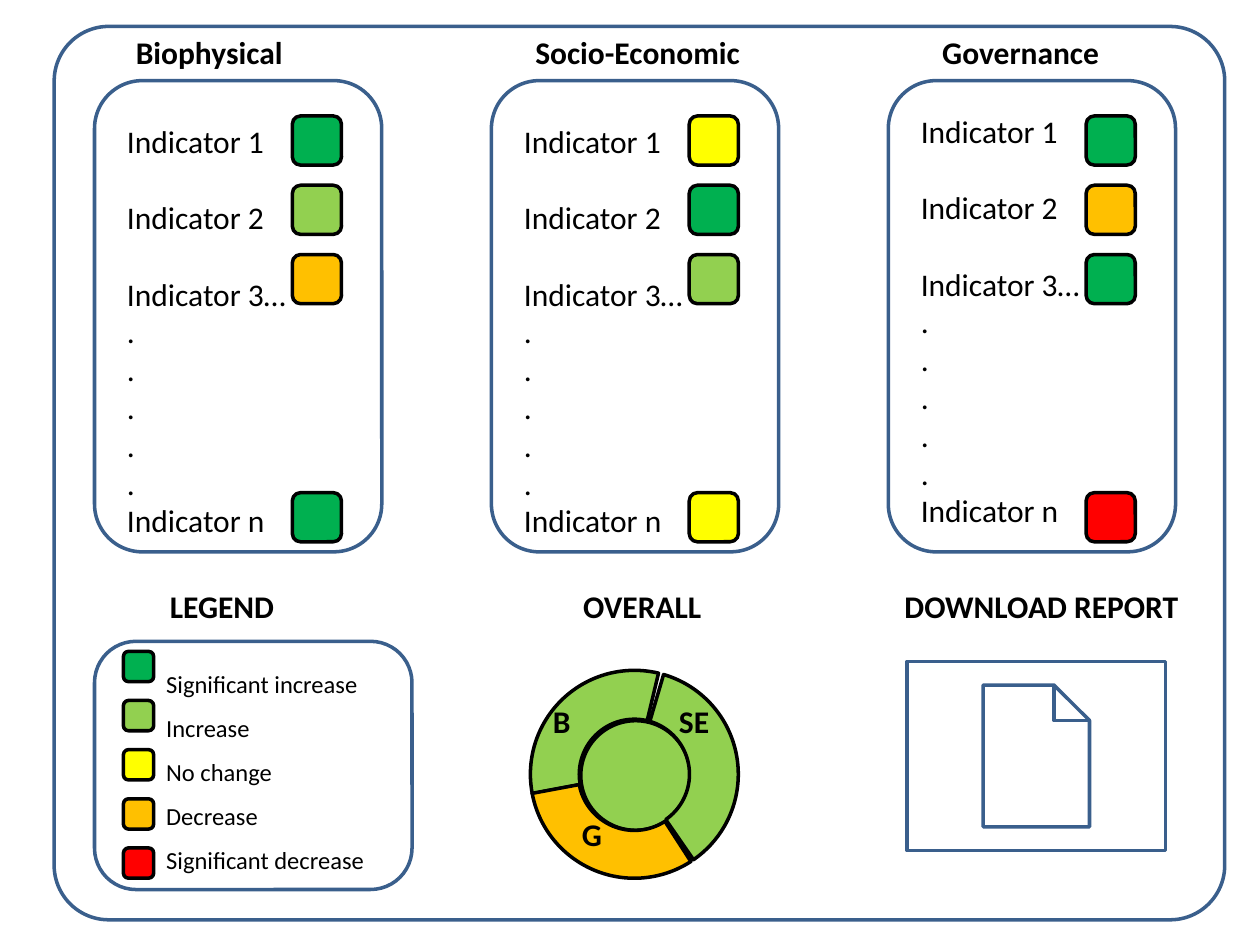
"""Build a dashboard slide of indicator panels, a legend and an overall ring."""
from pptx import Presentation
from pptx.dml.color import RGBColor
from pptx.enum.shapes import MSO_SHAPE
from pptx.util import Inches, Pt

ROUNDED = MSO_SHAPE.ROUNDED_RECTANGLE
COLOURS = {
    "outline": "3A5F8C", "black": "000000",
    "strong": "00B050", "up": "92D050", "same": "FFFF00",
    "down": "FFC000", "worst": "FF0000",
}
FONT = "Calibri"

PANELS = [
    ("Biophysical", 0.98, 0.92, ["strong", "up", "down", "strong"]),
    ("Socio-Economic", 4.15, 0.92, ["same", "strong", "up", "same"]),
    ("Governance", 7.38, 0.84, ["strong", "down", "strong", "worst"]),
]
INDICATORS = ["Indicator 1", "Indicator 2", "Indicator 3…"] + ["."] * 5 + ["Indicator n"]
SPACED_INDICATORS = 2
PANEL_LEFT, PANEL_STEP = 0.75, 3.15
STATUS_TOPS = [0.92, 1.47, 2.02, 3.91]

LOWER_HEADINGS = [("LEGEND", 1.25), ("OVERALL", 4.53), ("DOWNLOAD REPORT", 7.08)]
LEGEND = [
    ("Significant increase", "strong"), ("Increase", "up"), ("No change", "same"),
    ("Decrease", "down"), ("Significant decrease", "worst"),
]
LEGEND_TOP, LEGEND_STEP = 5.17, 0.39

RING = [
    ("B", 4.29, 5.52, "up", 169.26, 283.45, 0.235),
    ("SE", 5.29, 5.52, "up", 286.33, 55.33, 0.235),
    ("G", 4.52, 6.42, "down", 57.06, 169.43, 0.23),
]
ADJUSTMENT_PER_DEGREE = 0.6

presentation = Presentation()
presentation.slide_width = Inches(10)
presentation.slide_height = Inches(7.5)
slide = presentation.slides.add_slide(presentation.slide_layouts[6])


def colour(name):
    return RGBColor.from_string(COLOURS[name])


def add_figure(kind, left, top, width, height, fill=None, line="black"):
    shape = slide.shapes.add_shape(
        kind, Inches(left), Inches(top), Inches(width), Inches(height))
    shape.shadow.inherit = False
    if fill:
        shape.fill.solid()
        shape.fill.fore_color.rgb = colour(fill)
    else:
        shape.fill.background()
    shape.line.color.rgb = colour(line)
    shape.line.width = Pt(2)
    return shape


def add_text(lines, left, top, width, height, size=18, bold=False, wrap=True):
    box = slide.shapes.add_textbox(
        Inches(left), Inches(top), Inches(width), Inches(height))
    frame = box.text_frame
    frame.word_wrap = wrap
    frame.text = "\n".join(lines)
    for paragraph in frame.paragraphs:
        paragraph.font.name = FONT
        paragraph.font.size = Pt(size)
        paragraph.font.bold = bold
        paragraph.font.color.rgb = colour("black")
    return frame.paragraphs


frame_shape = add_figure(ROUNDED, 0.43, 0.21, 9.29, 7.09, line="outline")
frame_shape.adjustments[0] = 0.061

for index, (heading, heading_left, text_top, statuses) in enumerate(PANELS):
    left = PANEL_LEFT + index * PANEL_STEP
    add_figure(ROUNDED, left, 0.64, 2.28, 3.74, line="outline")
    add_text([heading], heading_left, 0.21, 2.2, 0.4, bold=True)
    paragraphs = add_text(INDICATORS, left + 0.16, text_top, 1.97, 3.43)
    for paragraph in paragraphs[:SPACED_INDICATORS]:
        paragraph.space_after = Pt(22)
    for top, status in zip(STATUS_TOPS, statuses):
        add_figure(ROUNDED, left + 1.57, top, 0.39, 0.39, status)

for heading, left in LOWER_HEADINGS:
    add_text([heading], left, 4.61, 2.5, 0.4, bold=True)

add_figure(ROUNDED, 0.75, 5.09, 2.52, 1.97, line="outline")
for index, (label, status) in enumerate(LEGEND):
    add_figure(ROUNDED, 0.98, LEGEND_TOP + index * LEGEND_STEP, 0.24, 0.24, status)
labels = [label for label, status in LEGEND]
for paragraph in add_text(labels, 1.22, 5.14, 1.79, 1.83, size=14, wrap=False):
    paragraph.line_spacing = 1.5

add_figure(MSO_SHAPE.ACTION_BUTTON_DOCUMENT, 7.2, 5.25, 2.05, 1.5, line="outline")

add_figure(MSO_SHAPE.OVAL, 4.61, 5.72, 0.87, 0.87, "up")
for label, left, top, status, start, end, thickness in RING:
    arc = add_figure(MSO_SHAPE.BLOCK_ARC, 4.21, 5.32, 1.65, 1.65, status)
    arc.adjustments[0] = start * ADJUSTMENT_PER_DEGREE
    arc.adjustments[1] = end * ADJUSTMENT_PER_DEGREE
    arc.adjustments[2] = thickness
for label, left, top, *arc_values in RING:
    add_text([label], left, top, 0.6, 0.4, bold=True)

presentation.save("out.pptx")
